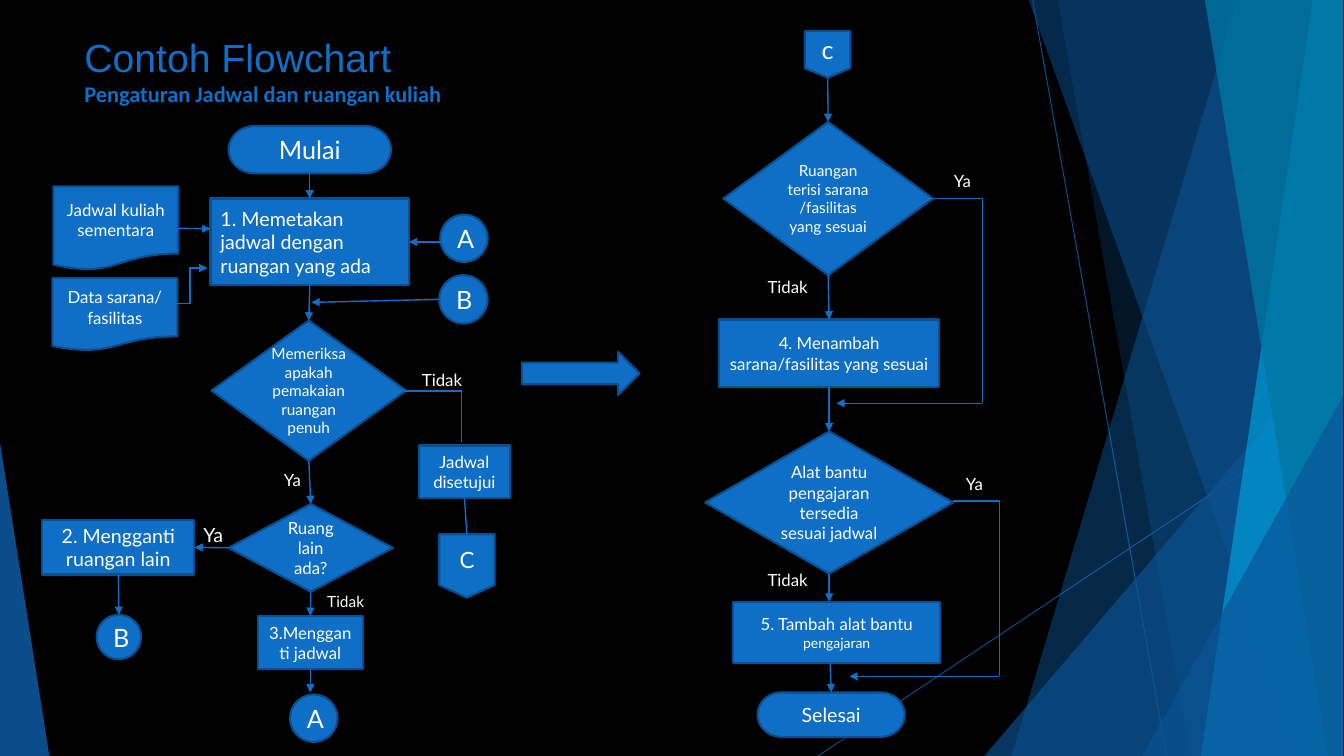
from lxml.etree import SubElement
from pptx import Presentation
from pptx.dml.color import RGBColor
from pptx.enum.shapes import MSO_CONNECTOR as LINE, MSO_SHAPE as SHAPE
from pptx.enum.text import MSO_ANCHOR, PP_ALIGN
from pptx.oxml.ns import qn
from pptx.util import Pt

PX = 9144  # EMU per px, 100 px to the inch
WIDE, HIGH = 1334, 750
TOP, LEFT, BOTTOM, RIGHT = range(4)
HEX = {"back": "000000", "blue": "0F6FC6", "edge": "085091", "navy": "0B5395",
       "cyan": "009DD9", "teal": "0076A3", "white": "FFFFFF"}


def rgb(name):
    return RGBColor.from_string(HEX[name])


def fade(shape, alpha):
    for tint in shape.element.spPr.iter(qn("a:srgbClr")):
        SubElement(tint, qn("a:alpha"), val=str(alpha * 1000))


def write(shape, text, sizes, font="Lato", color="white", align=PP_ALIGN.CENTER):
    """Fill a shape with text; each line break starts a run with its own size."""
    frame = shape.text_frame
    frame.word_wrap = True
    para = frame.paragraphs[0]
    para.text = text
    para.alignment = align
    for run, size in zip(para.runs, sizes):
        run.font.name = font
        run.font.size = Pt(size)
        run.font.color.rgb = rgb(color)
    return para


class Area:
    """Places parts relative to the top left corner of a box."""

    def __init__(self, slide, left, top):
        self.shapes, self.left, self.top = slide.shapes, left, top

    def spot(self, x, y):
        return (self.left + x) * PX, (self.top + y) * PX

    def form(self, kind, box, fill="blue", edge="edge"):
        x, y, w, h = box
        shape = self.shapes.add_shape(kind, *self.spot(x, y), w * PX, h * PX)
        paint(shape, fill, edge)
        return shape

    def node(self, kind, box, text, *sizes, align=PP_ALIGN.CENTER):
        shape = self.form(kind, box)
        write(shape, text, sizes, align=align)
        return shape

    def label(self, x, y, text, size=12):
        box = self.shapes.add_textbox(*self.spot(x, y), 80 * PX, 30 * PX)
        write(box, text, [size], align=PP_ALIGN.LEFT)

    def link(self, start, end, head=True, bend=None, width=1):
        """Join two ends, each a point (x, y) or a pair (shape, side)."""
        points = [self.spot(*e) if isinstance(e[0], int) else (0, 0)
                  for e in (start, end)]
        kind = LINE.STRAIGHT if bend is None else LINE.ELBOW
        line = self.shapes.add_connector(kind, *points[0], *points[1])
        for e, join in ((start, line.begin_connect), (end, line.end_connect)):
            if not isinstance(e[0], int):
                join(*e)
        line.line.color.rgb = rgb("blue")
        line.line.width = Pt(width)
        props = line.element.spPr
        if bend is not None:
            guides = props.find(qn("a:prstGeom")).get_or_add_avLst()
            SubElement(guides, qn("a:gd"), name="adj1", fmla=f"val {bend * 1000}")
        if head:
            SubElement(props.find(qn("a:ln")), qn("a:tailEnd"), type="triangle")
        SubElement(props, qn("a:effectLst"))
        return line


def paint(shape, fill, edge=None):
    shape.shadow.inherit = False
    shape.fill.solid()
    shape.fill.fore_color.rgb = rgb(fill)
    if edge:
        shape.line.color.rgb = rgb(edge)
        shape.line.width = Pt(1.5)
    else:
        shape.line.fill.background()


def decor(slide, left, top):
    area = Area(slide, left, top)

    def band(high, low, fill, alpha):
        edge = WIDE - 1
        pen = slide.shapes.build_freeform(left + high, top, scale=PX)
        pen.add_line_segments([(left + edge, top), (left + edge, top + HIGH),
                               (left + low, top + HIGH)])
        shape = pen.convert_to_shape()
        paint(shape, fill)
        fade(shape, alpha)

    def wedge(box, apex, fill, alpha):
        shape = area.form(SHAPE.ISOSCELES_TRIANGLE, box, fill, None)
        shape.adjustments[0] = apex
        fade(shape, alpha)

    for start, end in (((1025, 0), (1158, 750)), ((1333, 403), (812, 750))):
        fade(area.link(start, end, head=False, width=0.75), 70)
    band(1228, 1004, "blue", 36)
    band(1050, 1182, "blue", 20)
    wedge((977, 333, 356, 417), 1, "navy", 66)
    band(1021, 1291, "navy", 50)
    band(1303, 1192, "cyan", 70)
    band(1196, 1318, "teal", 80)
    wedge((1134, 393, 199, 357), 1, "navy", 66)
    wedge((0, 439, 49, 311), 0, "blue", 70)


def title(slide, left, top, width, height):
    box = slide.shapes.add_textbox(left * PX, top * PX, width * PX, height * PX)
    para = write(box, "Contoh Flowchart\vPengaturan Jadwal dan ruangan kuliah",
                 (28, 16), "Arial", "blue", PP_ALIGN.LEFT)
    box.text_frame.margin_top = 9 * PX
    box.text_frame.vertical_anchor = MSO_ANCHOR.TOP
    para.runs[1].font.name = "Calibri"
    para.runs[1].font.bold = True


def rooms(slide, left, top):
    area = Area(slide, left, top)
    node, link, label = area.node, area.link, area.label
    step, test, doc = SHAPE.FLOWCHART_PROCESS, SHAPE.DIAMOND, SHAPE.FLOWCHART_DOCUMENT
    # Steps
    start = node(SHAPE.FLOWCHART_TERMINATOR, (187, 5, 161, 47), "Mulai", 18)
    plan = node(step, (169, 77, 197, 86), "1. Memetakan jadwal dengan ruangan yang ada",
                14, align=PP_ALIGN.LEFT)
    full = node(test, (170, 198, 193, 139), "Memeriksa apakah pemakaian ruangan penuh", 11)
    shift = node(step, (216, 491, 104, 53), "3.Mengganti jadwal", 12)
    other = node(test, (187, 380, 163, 87), "Ruang lain ada?", 12)
    draft = node(doc, (13, 65, 124, 83), "Jadwal kuliah sementara", 12)
    node(doc, (12, 156, 124, 72), "Data sarana/ fasilitas", 12)
    swap = node(step, (2, 396, 151, 54), "2. Mengganti ruangan lain", 14)
    agreed = node(step, (376, 322, 90, 52), "Jadwal disetujui", 12)
    # Jump marks
    page = node(SHAPE.FLOWCHART_OFFPAGE_CONNECTOR, (396, 410, 55, 63), "C", 16)
    node(SHAPE.OVAL, (397, 93, 47, 47), "A", 18)
    node(SHAPE.OVAL, (396, 153, 48, 48), "B", 18)
    node(SHAPE.OVAL, (248, 569, 47, 47), "A", 18)
    jump = node(SHAPE.OVAL, (56, 490, 44, 44), "B", 18)
    # Arrows
    for a, b in ((start, plan), (plan, full), (full, other), (other, shift), (swap, jump)):
        link((a, BOTTOM), (b, TOP))
    link((agreed, BOTTOM), (page, TOP), head=False)
    link((other, LEFT), (swap, RIGHT))
    link((draft, RIGHT), (169, 107))
    link((398, 120), (plan, RIGHT))
    link((396, 177), (269, 180))
    link((shift, BOTTOM), (268, 567))
    link((129, 181), (166, 146), bend=53)
    link((361, 268), (418, 319), head=False, bend=100)
    # Answers
    label(369, 242, "Tidak")
    label(232, 341, "Ya")
    label(152, 394, "Ya", 14)
    label(275, 463, "Tidak", 11)


def bridge(slide, left, top, width, height):
    Area(slide, left, top).form(SHAPE.RIGHT_ARROW, (0, 0, width, height))


def tools(slide, left, top):
    area = Area(slide, left, top)
    node, link, label = area.node, area.link, area.label
    # Steps
    page = node(SHAPE.FLOWCHART_OFFPAGE_CONNECTOR, (99, 1, 45, 46), "c", 18)
    room = node(SHAPE.DIAMOND, (18, 91, 208, 152),
                "Ruangan terisi sarana /fasilitas yang sesuai", 11)
    extra = node(SHAPE.RECTANGLE, (14, 287, 218, 67),
                 "4. Menambah sarana/fasilitas yang sesuai", 12)
    aid = node(SHAPE.DIAMOND, (0, 398, 246, 141),
               "Alat bantu pengajaran tersedia sesuai jadwal", 12)
    node(SHAPE.FLOWCHART_PROCESS, (28, 567, 205, 61),
         "5. Tambah alat bantu\vpengajaran", 12, 10)
    done = node(SHAPE.FLOWCHART_TERMINATOR, (52, 657, 146, 44), "Selesai", 14)
    # Arrows
    for a, b in ((page, room), (room, extra), (extra, aid)):
        link((a, BOTTOM), (b, TOP))
    link((aid, BOTTOM), (123, 567))
    link((124, 628), (done, TOP))
    # Bypasses
    for start, turn, end in (((226, 167), (275, 370), (130, 370)),
                             ((246, 467), (292, 641), (143, 641))):
        link(start, turn, head=False, bend=100)
        link(turn, end)
    # Answers
    label(52, 240, "Tidak")
    label(52, 530, "Tidak")
    label(237, 134, "Ya")
    label(249, 435, "Ya")


def main():
    deck = Presentation()
    deck.slide_width, deck.slide_height = WIDE * PX, HIGH * PX
    slide = deck.slides.add_slide(deck.slide_layouts[6])
    slide.background.fill.solid()
    slide.background.fill.fore_color.rgb = rgb("back")
    decor(slide, 0, 0)
    title(slide, 74, 24, 940, 78)
    rooms(slide, 40, 120)
    bridge(slide, 518, 349, 117, 43)
    tools(slide, 700, 30)
    deck.save("out.pptx")


if __name__ == "__main__":
    main()
